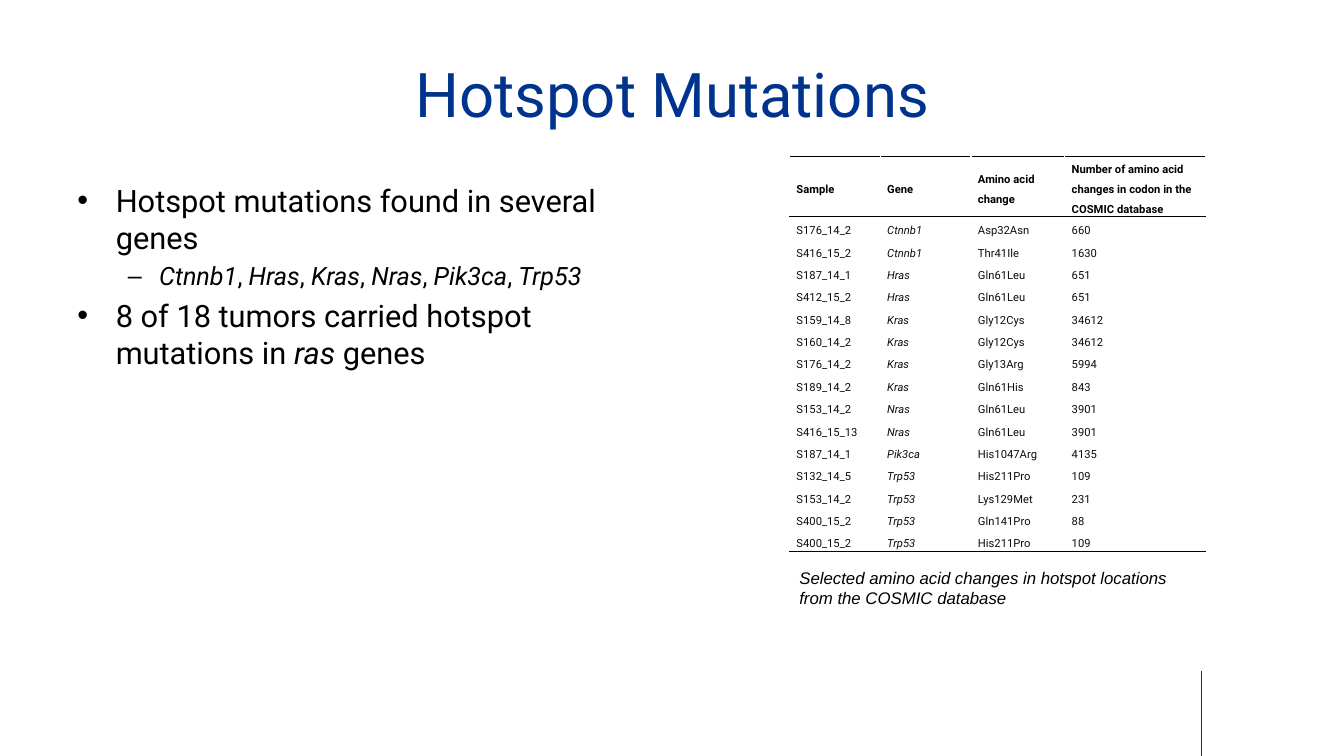
from lxml import etree
from pptx import Presentation
from pptx.dml.color import RGBColor
from pptx.enum.shapes import MSO_CONNECTOR
from pptx.enum.text import MSO_ANCHOR, PP_ALIGN
from pptx.oxml.ns import qn
from pptx.util import Inches, Pt

LINE = MSO_CONNECTOR.STRAIGHT
MIDDLE = MSO_ANCHOR.MIDDLE
CENTER = PP_ALIGN.CENTER

COLORS = {"blue": "00338D", "black": "000000", "body": "0D0D0D", "white": "FFFFFF"}
TITLE = "Hotspot Mutations"
CAPTION = "Selected amino acid changes in hotspot locations from the COSMIC database"
GENES = ["Ctnnb1", "Hras", "Kras", "Nras", "Pik3ca", "Trp53"]

# Each run is (text, italic)
GENE_RUNS = [(GENES[0], True)]
for gene in GENES[1:]:
    GENE_RUNS += [(", ", False), (gene, True)]

# Level, runs
POINTS = [
    (0, [("Hotspot mutations found in several genes", False)]),
    (1, GENE_RUNS),
    (0, [("8 of 18 tumors carried hotspot mutations in ", False),
         ("ras", True), (" genes", False)]),
]
# Bullet, left margin, hanging indent, text size for each level
LEVELS = [("•", 0.38, 0.38, 22), ("–", 0.81, 0.31, 18)]

ROWS = [
    ("Sample", "Gene", "Amino acid change",
     "Number of amino acid changes in codon in the COSMIC database"),
    ("S176_14_2", "Ctnnb1", "Asp32Asn", "660"),
    ("S416_15_2", "Ctnnb1", "Thr41Ile", "1630"),
    ("S187_14_1", "Hras", "Gln61Leu", "651"),
    ("S412_15_2", "Hras", "Gln61Leu", "651"),
    ("S159_14_8", "Kras", "Gly12Cys", "34612"),
    ("S160_14_2", "Kras", "Gly12Cys", "34612"),
    ("S176_14_2", "Kras", "Gly13Arg", "5994"),
    ("S189_14_2", "Kras", "Gln61His", "843"),
    ("S153_14_2", "Nras", "Gln61Leu", "3901"),
    ("S416_15_13", "Nras", "Gln61Leu", "3901"),
    ("S187_14_1", "Pik3ca", "His1047Arg", "4135"),
    ("S132_14_5", "Trp53", "His211Pro", "109"),
    ("S153_14_2", "Trp53", "Lys129Met", "231"),
    ("S400_15_2", "Trp53", "Gln141Pro", "88"),
    ("S400_15_2", "Trp53", "His211Pro", "109"),
]
WIDTHS = [0.9, 0.9, 0.93, 1.4]
HEAD, TALL = 0.59, 3.92


def color(name):
    return RGBColor.from_string(COLORS[name])


def style(font, size, tint="black", face="Roboto", bold=False, italic=False):
    font.size, font.name, font.bold, font.italic = Pt(size), face, bold, italic
    font.color.rgb = color(tint)


def add_box(slide, *place):
    box = slide.shapes.add_textbox(*map(Inches, place))
    box.text_frame.word_wrap = True
    return box.text_frame


def add_bullet(para, mark, left, hang):
    props = para._p.get_or_add_pPr()
    props.set("marL", str(Inches(left)))
    props.set("indent", str(-Inches(hang)))
    etree.SubElement(props, qn("a:buFont")).set("typeface", "Arial")
    etree.SubElement(props, qn("a:buChar")).set("char", mark)


def add_edges(cell, tags):
    """Draw 1 pt black borders; borders must come before the cell's fill."""
    props = cell._tc.get_or_add_tcPr()
    for spot, tag in enumerate(tags):
        edge = etree.Element(qn(tag), w=str(Pt(1)))
        fill = etree.SubElement(edge, qn("a:solidFill"))
        etree.SubElement(fill, qn("a:srgbClr")).set("val", COLORS["black"])
        props.insert(spot, edge)


def add_points(slide):
    frame = add_box(slide, 0.67, 1.75, 5.81, 4.76)
    for num, (level, runs) in enumerate(POINTS):
        para = frame.paragraphs[0] if num == 0 else frame.add_paragraph()
        mark, left, hang, size = LEVELS[level]
        para.level = level
        para.space_before = Pt(size * 0.2 if num else 0)
        add_bullet(para, mark, left, hang)
        for text, italic in runs:
            run = para.add_run()
            run.text = text
            style(run.font, size, italic=italic)


def add_grid(slide):
    last = len(ROWS) - 1
    table = slide.shapes.add_table(
        len(ROWS), len(WIDTHS), Inches(7.83), Inches(1.55),
        Inches(sum(WIDTHS)), Inches(TALL)).table
    table.first_row = table.horz_banding = False
    for col, width in zip(table.columns, WIDTHS):
        col.width = Inches(width)
    for r, values in enumerate(ROWS):
        head = r == 0
        table.rows[r].height = Inches(HEAD if head else (TALL - HEAD) / last)
        tags = ["a:lnT"] if r < 2 else []
        if r in (0, last):
            tags.append("a:lnB")
        for c, text in enumerate(values):
            cell = table.cell(r, c)
            cell.text = text
            cell.vertical_anchor = MIDDLE
            cell.margin_left = cell.margin_right = Inches(0.07)
            cell.margin_top = cell.margin_bottom = 0
            cell.fill.solid()
            cell.fill.fore_color.rgb = color("white")
            add_edges(cell, tags)
            para = cell.text_frame.paragraphs[0]
            para.line_spacing = 1.5
            style(para.runs[0].font, 8, "black" if head else "body",
                  bold=head, italic=c == 1 and not head)


def main():
    deck = Presentation()
    deck.slide_width, deck.slide_height = Inches(13.33), Inches(7.5)
    slide = deck.slides.add_slide(deck.slide_layouts[6])

    rule = slide.shapes.add_connector(
        LINE, Inches(11.92), Inches(7.5), Inches(11.92), Inches(6.66))
    rule.line.color.rgb = color("blue")
    rule.line.width = Pt(0.75)
    etree.SubElement(rule._element.spPr, qn("a:effectLst"))

    title = add_box(slide, 0.67, 0.3, 12, 1.25)
    title.text = TITLE
    title.vertical_anchor = MIDDLE
    title.paragraphs[0].alignment = CENTER
    style(title.paragraphs[0].runs[0].font, 44, "blue")

    add_grid(slide)

    note = add_box(slide, 7.83, 5.58, 4.14, 0.5)
    note.text = CAPTION
    style(note.paragraphs[0].runs[0].font, 12, face="Arial", italic=True)

    add_points(slide)
    deck.save("out.pptx")


if __name__ == "__main__":
    main()
